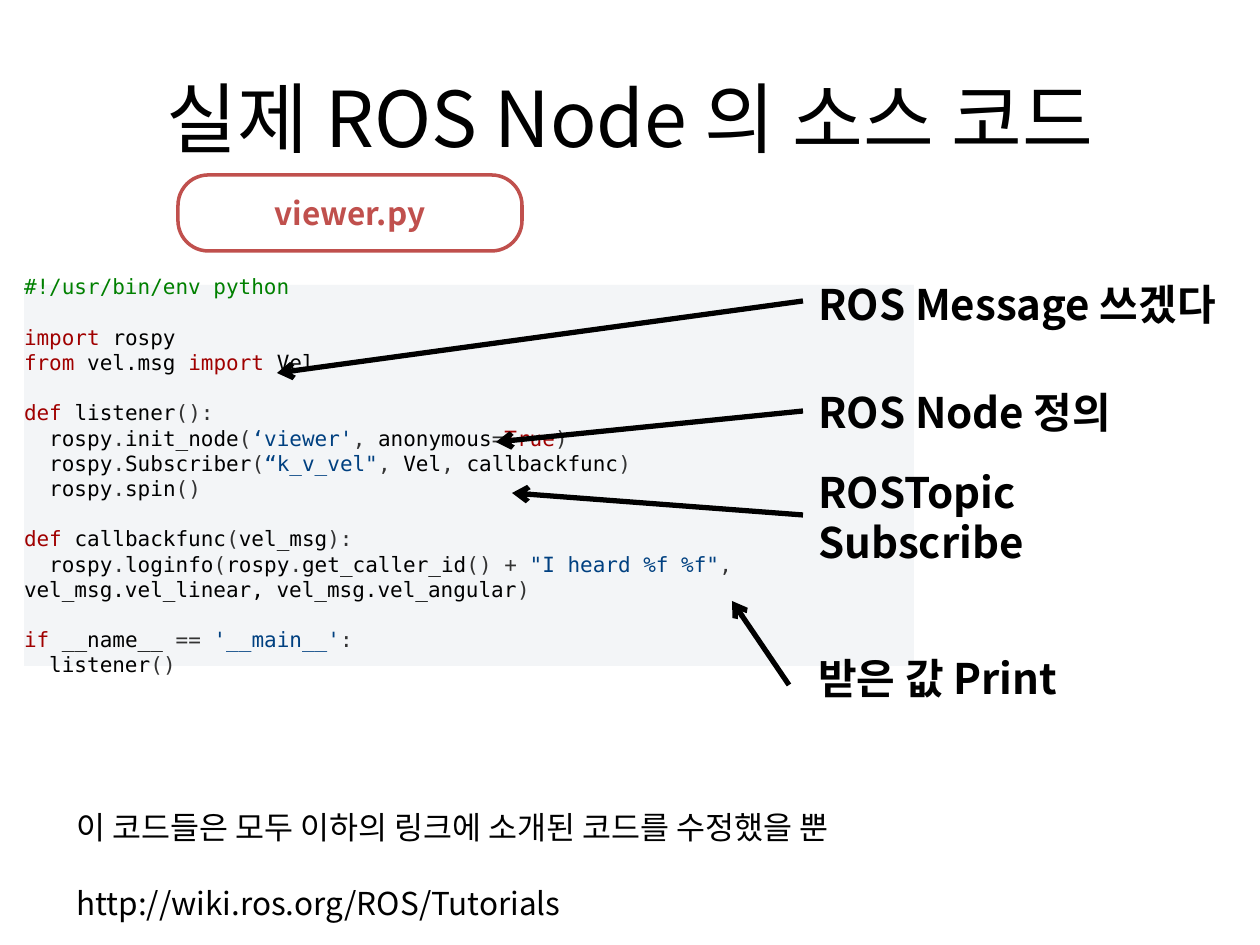
import pptx
import pptx.dml.color
import pptx.enum.shapes
import pptx.enum.text
import pptx.oxml
import pptx.oxml.ns
import pptx.util

PX = 914400 / 126
SANS = "Noto Sans CJK KR"
MONO = "DejaVu Sans Mono"
BLACK, RED = "000000", "C0504D"
COMMENT, KEYWORD, NAME, SIGN, STRING = "008000", "A00000", BLACK, "333333", "004080"
ALIGN = pptx.enum.text.PP_ALIGN
ANCHOR = pptx.enum.text.MSO_ANCHOR
SHAPE = pptx.enum.shapes.MSO_SHAPE

CODE_BLOCKS = [
    [[("#!/usr/bin/env python", COMMENT)]],
    [
        [("import ", KEYWORD), ("rospy", NAME)],
        [("from ", KEYWORD), ("vel.msg ", NAME), ("import ", KEYWORD), ("Vel", NAME)],
    ],
    [
        [("def ", KEYWORD), ("listener", NAME), ("():", SIGN)],
        [("  rospy", NAME), (".", SIGN), ("init_node", NAME), ("(", SIGN),
         ("‘viewer'", STRING), (", ", SIGN), ("anonymous", NAME), ("=", SIGN),
         ("True", KEYWORD), (")", SIGN)],
        [("  rospy", NAME), (".", SIGN), ("Subscriber", NAME), ("(", SIGN),
         ("“k_v_vel\"", STRING), (", ", SIGN), ("Vel", NAME), (", ", SIGN),
         ("callbackfunc", NAME), (")", SIGN)],
        [("  rospy", NAME), (".", SIGN), ("spin", NAME), ("()", SIGN)],
    ],
    [
        [("def ", KEYWORD), ("callbackfunc", NAME), ("(", SIGN), ("vel_msg", NAME), ("):", SIGN)],
        [("  rospy", NAME), (".", SIGN), ("loginfo", NAME), ("(", SIGN), ("rospy", NAME),
         (".", SIGN), ("get_caller_id", NAME), ("() + ", SIGN), ("\"I heard %f %f\"", STRING),
         (", ", SIGN), ("vel_msg.vel_linear, vel_msg.vel_angular", NAME), (")", SIGN)],
    ],
    [
        [("if ", KEYWORD), ("__name__", NAME), (" == ", SIGN), ("'__main__'", STRING), (":", SIGN)],
        [("  listener", NAME), ("()", SIGN)],
    ],
]

CALLOUTS = [
    ("ROS Message 쓰겠다", (806, 264, 454, 79), (803, 301), (277, 373)),
    ("ROS Node 정의", (806, 372, 378, 79), (803, 411), (496, 442)),
    ("ROSTopic Subscribe", (806, 477, 428, 79), (803, 515), (512, 493)),
    ("받은 값 Print", (806, 624, 378, 107), (789, 685), (732, 601)),
]

NOTES = ["이 코드들은 모두 이하의 링크에 소개된 코드를 수정했을 뿐", "http://wiki.ros.org/ROS/Tutorials"]


def px(*lengths):
    """Turn pixel lengths into EMU."""
    return [pptx.util.Emu(round(length * PX)) for length in lengths]


def colour(value):
    """Turn a hex string into a colour."""
    return pptx.dml.color.RGBColor.from_string(value)


def set_values(target, values):
    """Set each attribute named in a dict of format values."""
    for name, value in values.items():
        setattr(target, name, value)


def set_frame(shape, anchor, margins=None):
    """Set wrapping, anchor and optional equal margins of a shape's text."""
    values = {"word_wrap": True, "auto_size": pptx.enum.text.MSO_AUTO_SIZE.NONE,
              "vertical_anchor": anchor}
    if margins is not None:
        values.update({f"margin_{side}": margins for side in ("left", "top", "right", "bottom")})
    set_values(shape.text_frame, values)


def add_run(paragraph, text, size, font=SANS, hex_colour=BLACK, bold=False):
    """Add a run in one font for Latin and Korean letters."""
    run = paragraph.add_run()
    run.text = text
    set_values(run.font, {"name": font, "size": pptx.util.Pt(size), "bold": bold})
    run.font.color.rgb = colour(hex_colour)
    east_asian = pptx.oxml.parse_xml(f'<a:ea {pptx.oxml.ns.nsdecls("a")} typeface="{font}"/>')
    run.font._element.find(pptx.oxml.ns.qn("a:latin")).addnext(east_asian)


def next_paragraph(frame, index, **values):
    """Return the first paragraph or a new one, formatted."""
    paragraph = frame.add_paragraph() if index else frame.paragraphs[0]
    set_values(paragraph, values)
    return paragraph


def add_box(slide, preset, box, fill=None, line=None):
    """Add a preset shape with an optional fill and outline."""
    shape = slide.shapes.add_shape(preset, *px(*box))
    shape.shadow.inherit = False
    for part, value in ((shape.fill, fill), (shape.line.fill, line)):
        if value:
            part.solid()
            part.fore_color.rgb = colour(value)
        else:
            part.background()
    return shape


def add_code(slide, box):
    """Add the code panel with its coloured lines."""
    panel = add_box(slide, SHAPE.RECTANGLE, box, fill="F3F5F7")
    set_frame(panel, ANCHOR.MIDDLE, margins=0)
    lines = [(line, block > 0 and row == 0)
             for block, rows in enumerate(CODE_BLOCKS) for row, line in enumerate(rows)]
    for index, (line, opens_block) in enumerate(lines):
        paragraph = next_paragraph(panel.text_frame, index, alignment=ALIGN.LEFT,
                                   line_spacing=pptx.util.Pt(14.4),
                                   space_before=pptx.util.Pt(14.4 if opens_block else 0))
        for text, hex_colour in line:
            add_run(paragraph, text, 12, MONO, hex_colour)


def add_title(slide, text, box):
    """Place and fill the title placeholder."""
    title = slide.shapes.title
    set_values(title, dict(zip(("left", "top", "width", "height"), px(*box))))
    set_frame(title, ANCHOR.MIDDLE)
    add_run(next_paragraph(title.text_frame, 0, alignment=ALIGN.CENTER), text, 44)


def add_text(slide, texts, box, size, anchor, line_height, gap=0, bold=False):
    """Add a text box with one paragraph for each text."""
    shape = slide.shapes.add_textbox(*px(*box))
    set_frame(shape, anchor)
    for index, text in enumerate(texts):
        paragraph = next_paragraph(shape.text_frame, index, line_spacing=pptx.util.Pt(line_height),
                                   space_before=pptx.util.Pt(gap if index else 0))
        add_run(paragraph, text, size, bold=bold)


def add_arrow(slide, start, end):
    """Add a black line with an open arrowhead at its end."""
    arrow = slide.shapes.add_connector(pptx.enum.shapes.MSO_CONNECTOR.STRAIGHT, *px(*start, *end))
    arrow.line.width = pptx.util.Pt(3)
    arrow.line.color.rgb = colour(BLACK)
    namespace = pptx.oxml.ns.nsdecls("a")
    arrow.line._get_or_add_ln().append(pptx.oxml.parse_xml(f'<a:tailEnd {namespace} type="arrow"/>'))
    arrow._element.spPr.append(pptx.oxml.parse_xml(f"<a:effectLst {namespace}/>"))


def add_file_label(slide, text, box):
    """Add the outlined file name."""
    label = add_box(slide, SHAPE.ROUNDED_RECTANGLE, box, line=RED)
    label.adjustments[0] = 0.4
    label.line.width = pptx.util.Pt(2)
    set_frame(label, ANCHOR.MIDDLE)
    paragraph = next_paragraph(label.text_frame, 0, alignment=ALIGN.CENTER)
    add_run(paragraph, text, 18, hex_colour=RED, bold=True)


def main():
    """Build and save the slide."""
    presentation = pptx.Presentation()
    set_values(presentation, dict(zip(("slide_width", "slide_height"), px(1260, 945))))
    slide = presentation.slides.add_slide(presentation.slide_layouts[5])
    add_code(slide, (24, 285, 890, 381))
    add_title(slide, "실제 ROS Node 의 소스 코드", (63, 38, 1134, 158))
    add_file_label(slide, "viewer.py", (178, 175, 344, 76))
    for text, box, start, end in CALLOUTS:
        add_text(slide, [text], box, 24, ANCHOR.MIDDLE, 29, bold=True)
        add_arrow(slide, start, end)
    add_text(slide, NOTES, (64, 801, 1188, 127), 18, ANCHOR.TOP, 22, gap=21.5)
    presentation.save("out.pptx")


if __name__ == "__main__":
    main()
